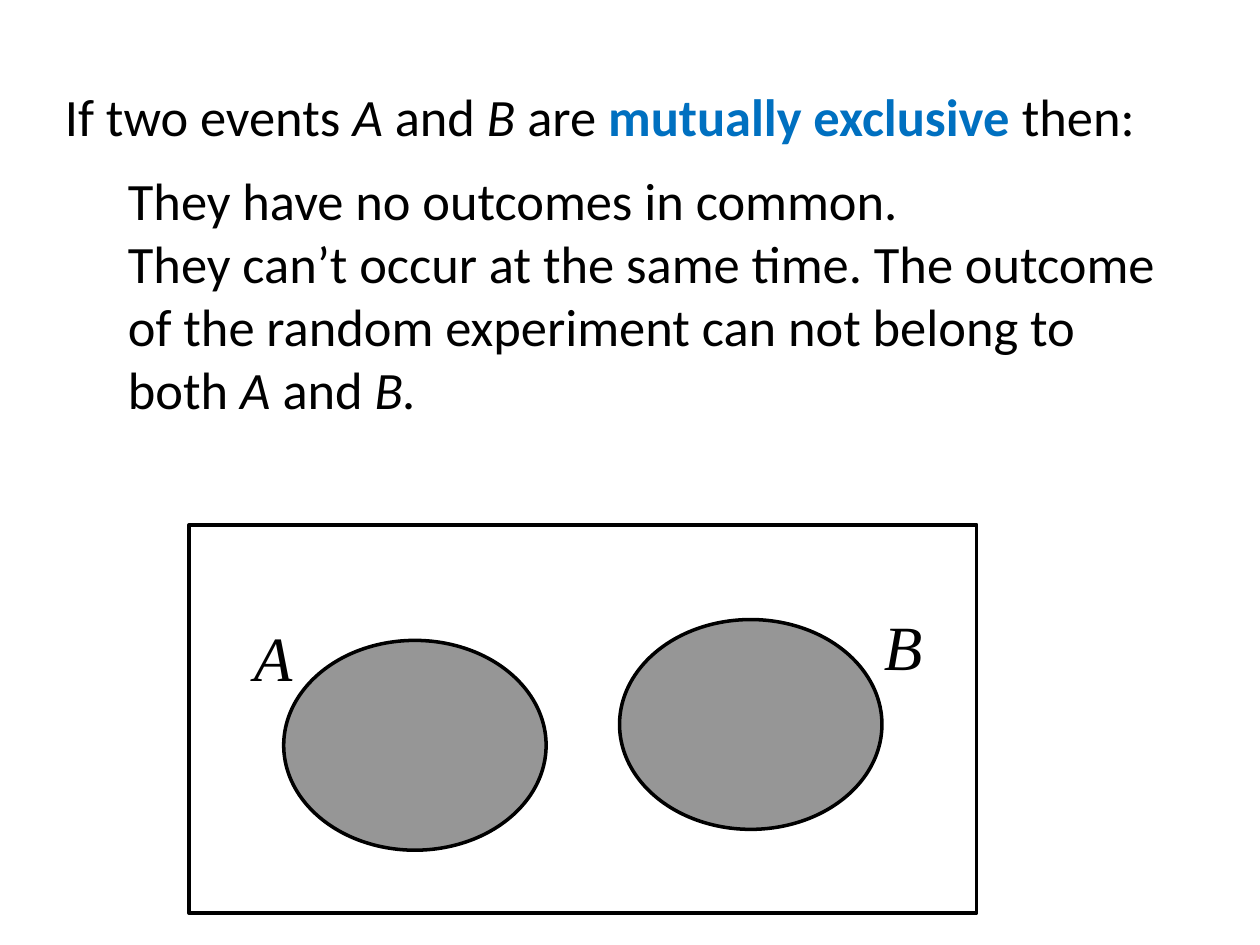
import pptx
import pptx.dml.color
import pptx.enum.shapes
import pptx.enum.text
import pptx.util
from pptx.util import Cm

BLACK = pptx.dml.color.RGBColor(0x00, 0x00, 0x00)
BLUE = pptx.dml.color.RGBColor(0x00, 0x70, 0xC0)
GRAY = pptx.dml.color.RGBColor(0x96, 0x96, 0x96)
SHAPE = pptx.enum.shapes.MSO_SHAPE
EVENT_WIDTH, EVENT_HEIGHT = Cm(5.29), Cm(4.23)
LABEL_WIDTH, LABEL_HEIGHT = Cm(2.75), Cm(2.33)


def format_run(r, size, font, italic=False, bold=False, color=BLACK):
    r.font.size = pptx.util.Pt(size)
    r.font.name = font
    r.font.italic = italic
    r.font.bold = bold
    r.font.color.rgb = color


def add_text(s, left, top, width, height):
    tf = s.shapes.add_textbox(left, top, width, height).text_frame
    tf.word_wrap = True
    tf.vertical_anchor = pptx.enum.text.MSO_ANCHOR.MIDDLE
    return tf.paragraphs[0]


def add_sentence(p, parts):
    for text, style in parts:
        r = p.add_run()
        r.text = text
        format_run(r, 30, "Calibri", **style)


def add_outline(s, kind, left, top, width, height, fill=None):
    sp = s.shapes.add_shape(kind, left, top, width, height)
    sp.shadow.inherit = False
    if fill is None:
        sp.fill.background()
    else:
        sp.fill.solid()
        sp.fill.fore_color.rgb = fill
    sp.line.color.rgb = BLACK
    sp.line.width = pptx.util.Pt(2)


def add_event(s, left, top):
    add_outline(s, SHAPE.OVAL, left, top, EVENT_WIDTH, EVENT_HEIGHT, GRAY)


def add_label(s, text, left, top):
    p = add_text(s, left, top, LABEL_WIDTH, LABEL_HEIGHT)
    p.text = text
    format_run(p.runs[0], 36, "Times New Roman", italic=True)


def main():
    prs = pptx.Presentation()
    prs.slide_width, prs.slide_height = Cm(25.4), Cm(19.05)
    s = prs.slides.add_slide(prs.slide_layouts[6])
    plain, italic = {}, {"italic": True}

    p = add_text(s, Cm(1.06), Cm(0.85), Cm(22.23), Cm(2.96))
    add_sentence(p, [
        ("If two events ", plain), ("A ", italic), ("and ", plain),
        ("B ", italic), ("are ", plain),
        ("mutually exclusive", {"bold": True, "color": BLUE}),
        (" then:", plain),
    ])

    add_outline(s, SHAPE.RECTANGLE, Cm(3.81), Cm(10.58), Cm(15.88), Cm(7.83))
    add_event(s, Cm(12.49), Cm(12.49))
    add_event(s, Cm(5.72), Cm(12.91))
    add_label(s, "A", Cm(4.87), Cm(12.07))
    add_label(s, "B", Cm(17.57), Cm(11.85))

    p = add_text(s, Cm(1.06), Cm(3.6), Cm(22.86), Cm(4.66))
    p._p.get_or_add_pPr().set("marL", str(Cm(1.27)))
    add_sentence(p, [("They have no outcomes in common.", plain)])
    p.add_line_break()
    add_sentence(p, [
        ("They can’t occur at the same time. The outcome of the random "
         "experiment can not belong to both", plain),
        (" A ", italic), ("and ", plain), ("B.", italic),
    ])

    prs.save("out.pptx")


if __name__ == "__main__":
    main()
